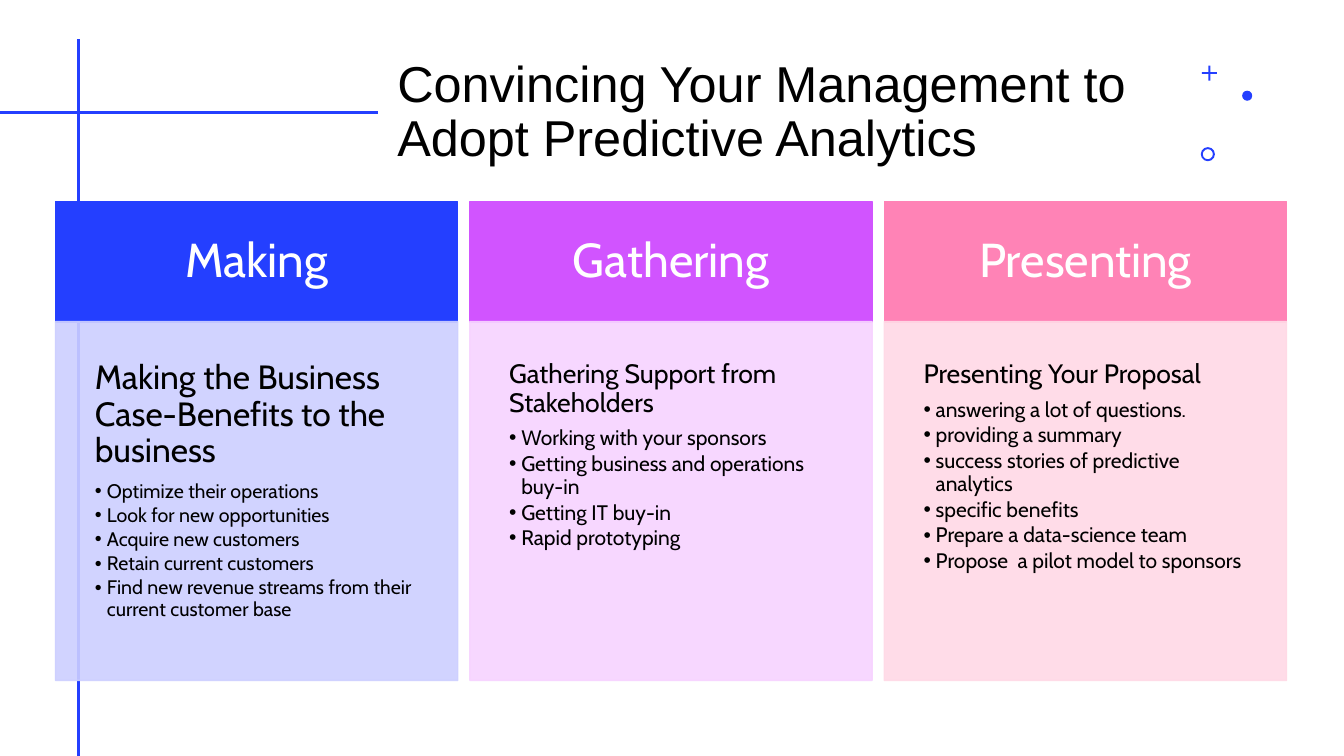
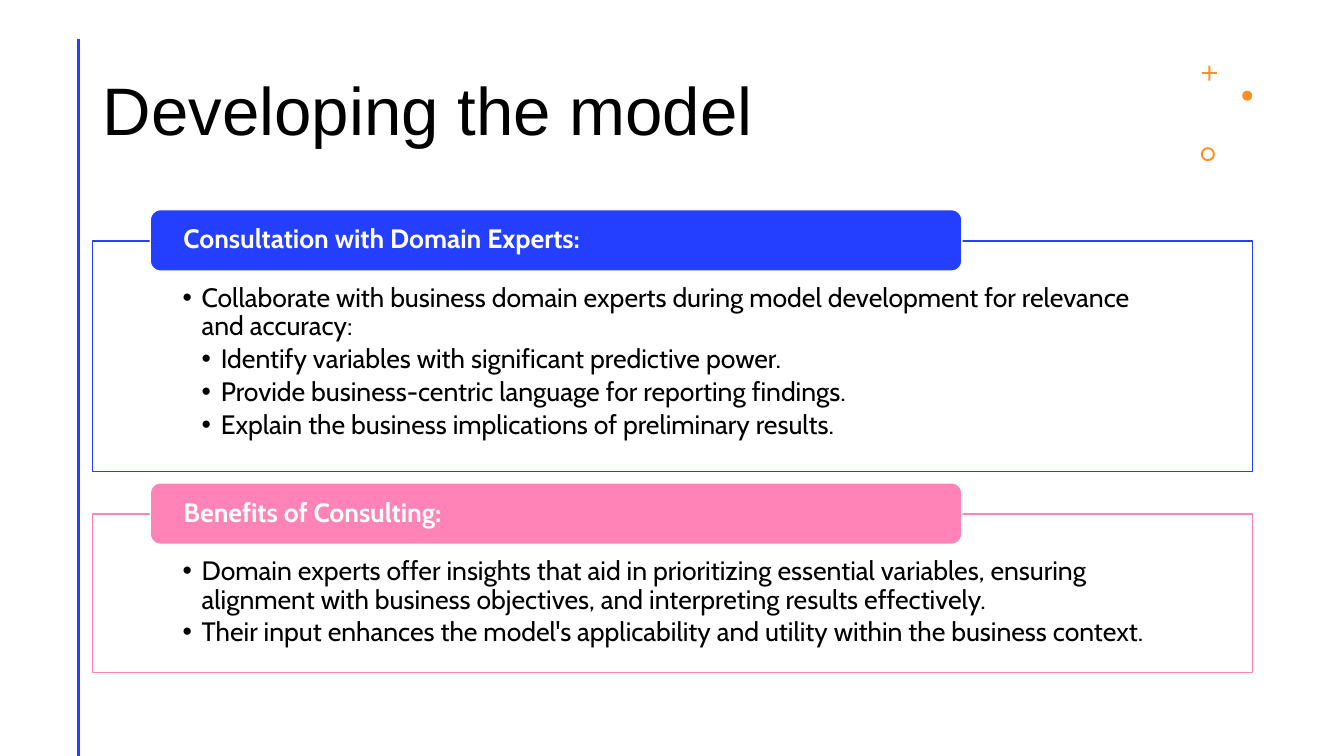
"""Build two slides on winning support for predictive analytics."""
import pptx
import pptx.dml.color
import pptx.enum.shapes
import pptx.enum.text
import pptx.oxml.ns
import pptx.util
from lxml import etree

Inches = pptx.util.Inches
Pt = pptx.util.Pt
Shape = pptx.enum.shapes.MSO_SHAPE
Anchor = pptx.enum.text.MSO_ANCHOR
Align = pptx.enum.text.PP_ALIGN
qn = pptx.oxml.ns.qn

COLORS = {
    "blue": "243FFF", "violet": "D154FF", "pink": "FF83B6", "orange": "FF9022",
    "pale blue": "CDCFFF", "pale violet": "F7D3FF", "pale pink": "FFD9E6",
    "white": "FFFFFF", "black": "000000",
}
TITLE_FONT, BODY_FONT = "Arial", "Cabin"
COMPARISON_LAYOUT, TWO_CONTENT_LAYOUT = 4, 3

CARDS = [
    ("Making", "blue", 24, 14, "Making the Business Case-Benefits to the business", [
        "Optimize their operations",
        "Look for new opportunities",
        "Acquire new customers",
        "Retain current customers",
        "Find new revenue streams from their current customer base",
    ]),
    ("Gathering", "violet", 19, 15, "Gathering Support from Stakeholders", [
        "Working with your sponsors",
        "Getting business and operations buy-in",
        "Getting IT buy-in",
        "Rapid prototyping",
    ]),
    ("Presenting", "pink", 19, 15, "Presenting Your Proposal", [
        "answering a lot of questions.",
        "providing a summary",
        "success stories of predictive analytics",
        "specific benefits",
        "Prepare a data-science team",
        "Propose  a pilot model to sponsors",
    ]),
]
SECTIONS = [
    ("Consultation with Domain Experts:", "blue", 2.39, 2.29, [
        (1, "Collaborate with business domain experts during model development "
            "for relevance and accuracy:"),
        (2, "Identify variables with significant predictive power."),
        (2, "Provide business-centric language for reporting findings."),
        (2, "Explain the business implications of preliminary results."),
    ]),
    ("Benefits of Consulting:", "pink", 5.1, 1.57, [
        (1, "Domain experts offer insights that aid in prioritizing essential variables, "
            "ensuring alignment with business objectives, and interpreting results effectively."),
        (1, "Their input enhances the model's applicability and utility "
            "within the business context."),
    ]),
]


class SlideBuilder:
    def __init__(self, deck):
        self.deck = deck

    def start(self, layout, accent):
        self.page = self.deck.slides.add_slide(self.deck.slide_layouts[layout])
        title = self.page.shapes.title
        self.bodies = [box for box in self.page.placeholders
                       if box.shape_id != title.shape_id]
        self.line(0.78, 0.39, 0.78, 7.5)
        self.ornaments(accent)

    def finish(self):
        for box in self.bodies:
            box.element.getparent().remove(box.element)

    def color(self, target, name, opacity=100):
        target.rgb = pptx.dml.color.RGBColor.from_string(COLORS[name])
        return opacity

    def paint(self, shape, fill, line=None, opacity=100):
        shape.fill.solid()
        self.color(shape.fill.fore_color, fill)
        if line:
            self.color(shape.line.color, line)
            shape.line.width = Pt(1)
        else:
            shape.line.fill.background()
        if opacity < 100:
            for swatch in shape.element.spPr.iter(qn("a:srgbClr")):
                if swatch.get("val") == COLORS[fill]:
                    etree.SubElement(swatch, qn("a:alpha"), val=str(opacity * 1000))

    def place(self, shape, left, top, width, height):
        shape.left, shape.top = Inches(left), Inches(top)
        shape.width, shape.height = Inches(width), Inches(height)

    def frame(self, shape, anchor, insets):
        frame = shape.text_frame
        frame.word_wrap = True
        frame.auto_size = pptx.enum.text.MSO_AUTO_SIZE.NONE
        frame.vertical_anchor = anchor
        (frame.margin_left, frame.margin_top,
         frame.margin_right, frame.margin_bottom) = map(Inches, insets)
        return frame

    def style(self, para, size, color="black", font=BODY_FONT, bold=False,
              align=Align.LEFT, after=0.0):
        para.alignment = align
        para.line_spacing = 0.9
        para.space_before = Pt(0)
        para.space_after = Pt(round(size * after, 1))
        for span in para.runs:
            span.font.name, span.font.size, span.font.bold = font, Pt(size), bold
            self.color(span.font.color, color)

    def bullet(self, para, level, step):
        para.level = level
        properties = para._p.get_or_add_pPr()
        properties.set("marL", str(Inches(step * level)))
        properties.set("indent", str(-Inches(step) if level else 0))
        if level:
            etree.SubElement(properties, qn("a:buChar"), char="•")
        else:
            etree.SubElement(properties, qn("a:buNone"))

    def title(self, text, left, width, size):
        box = self.page.shapes.title
        self.place(box, left, 0.4, width, 1.45)
        frame = self.frame(box, Anchor.MIDDLE, (0.1, 0.05, 0.1, 0.05))
        frame.text = text
        self.style(frame.paragraphs[0], size, font=TITLE_FONT)

    def line(self, x1, y1, x2, y2):
        line = self.page.shapes.add_connector(
            pptx.enum.shapes.MSO_CONNECTOR.STRAIGHT,
            Inches(x1), Inches(y1), Inches(x2), Inches(y2))
        self.color(line.line.color, "blue")
        line.line.width = Pt(2)
        etree.SubElement(line.element.spPr, qn("a:effectLst"))

    def shape(self, kind, left, top, width, height, fill, line=None, adjust=None):
        shape = self.page.shapes.add_shape(
            kind, Inches(left), Inches(top), Inches(width), Inches(height))
        shape.shadow.inherit = False
        self.paint(shape, fill, line)
        if adjust is not None:
            shape.adjustments[0] = adjust
        return shape

    def ornaments(self, color):
        self.shape(Shape.CROSS, 11.92, 0.65, 0.15, 0.15, color, adjust=0.44)
        self.shape(Shape.OVAL, 12.32, 0.9, 0.1, 0.1, color)
        self.shape(Shape.DONUT, 11.91, 1.46, 0.14, 0.14, color, adjust=0.14)

    def label(self, kind, area, text, fill, line, size, insets, bold, align):
        shape = self.shape(kind, *area, fill, line)
        frame = self.frame(shape, Anchor.MIDDLE, insets)
        frame.text = text
        self.style(frame.paragraphs[0], size, "white", bold=bold, align=align)

    def panel(self, area, entries, fill, line, insets, step):
        box = self.bodies.pop(0)
        box.element.getparent().append(box.element)
        self.place(box, *area)
        self.paint(box, fill, line, opacity=90)
        frame = self.frame(box, Anchor.TOP, insets)
        frame.text = "\n".join(text for level, size, text in entries)
        for para, (level, size, text) in zip(frame.paragraphs, entries):
            self.bullet(para, level, step)
            self.style(para, size, after=0.15 if level else 0.35)


def build_cards(builder):
    builder.start(COMPARISON_LAYOUT, "blue")
    builder.line(0, 1.12, 3.75, 1.12)
    builder.title("Convincing Your Management to Adopt Predictive Analytics", 3.84, 7.83, 36)
    for index, (name, color, head_size, item_size, heading, items) in enumerate(CARDS):
        left, width = 0.55 + 4.11 * index, 3.99
        builder.label(Shape.RECTANGLE, (left, 2, width, 1.2), name, color, color,
                      34, [0.32] * 4, False, Align.CENTER)
        entries = [(0, head_size, heading)] + [(1, item_size, item) for item in items]
        pale = "pale " + color
        builder.panel((left, 3.19, width, 3.56), entries, pale, pale, [0.39] * 4, 0.12)
    builder.finish()


def build_sections(builder):
    builder.start(TWO_CONTENT_LAYOUT, "orange")
    builder.title("Developing the model", 0.92, 10.76, 48)
    for heading, color, top, height, items in SECTIONS:
        entries = [(level, 19, text) for level, text in items]
        builder.panel((0.92, top, 11.5, height), entries, "white", color,
                      (0.89, 0.43, 0.89, 0.15), 0.19)
        builder.label(Shape.ROUNDED_RECTANGLE, (1.49, top - 0.31, 8.05, 0.61), heading,
                      color, "white", 19, (0.3, 0, 0.3, 0), True, Align.LEFT)
    builder.finish()


def main():
    deck = pptx.Presentation()
    deck.slide_width, deck.slide_height = Inches(13.33), Inches(7.5)
    builder = SlideBuilder(deck)
    build_cards(builder)
    build_sections(builder)
    deck.save("out.pptx")


if __name__ == "__main__":
    main()
